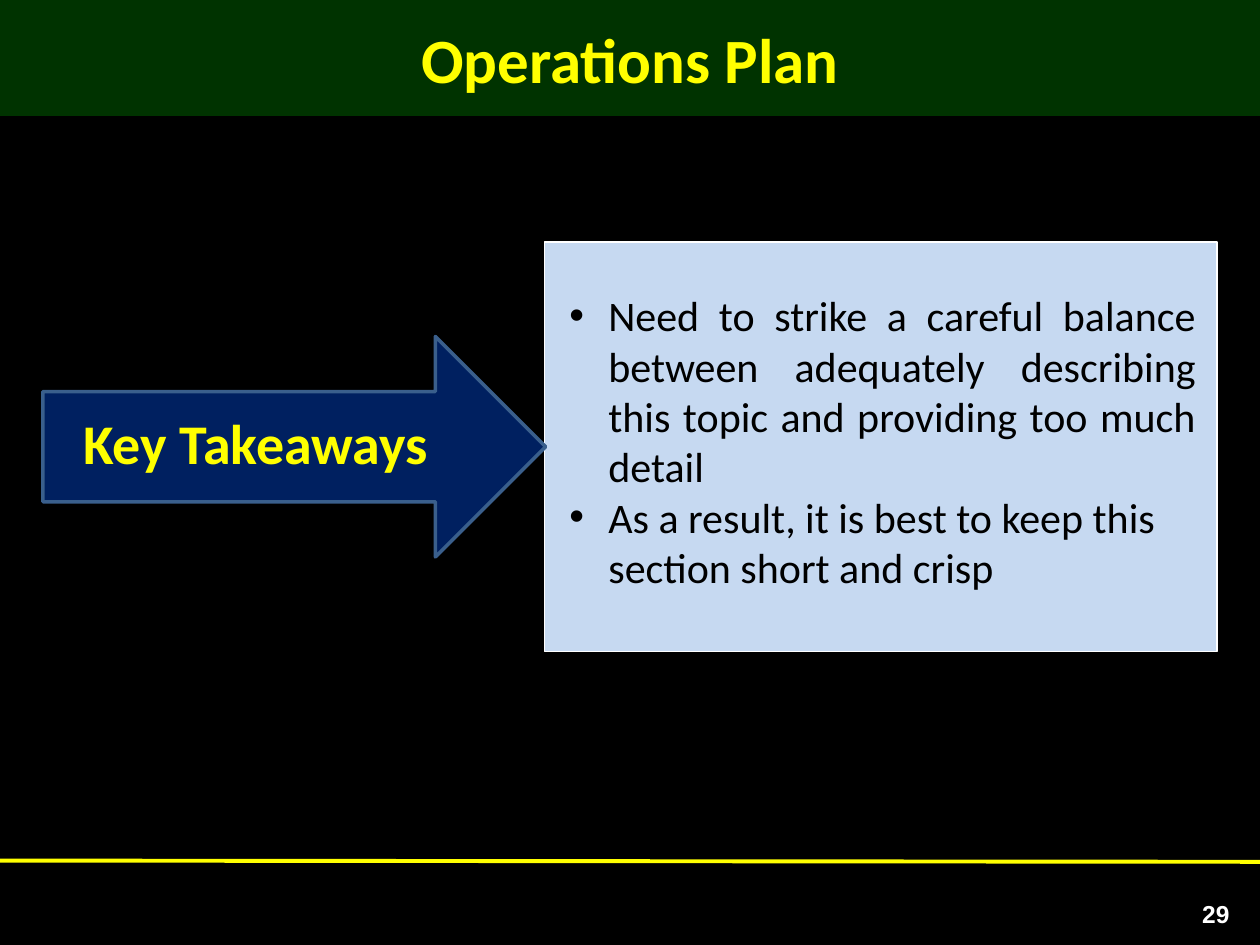
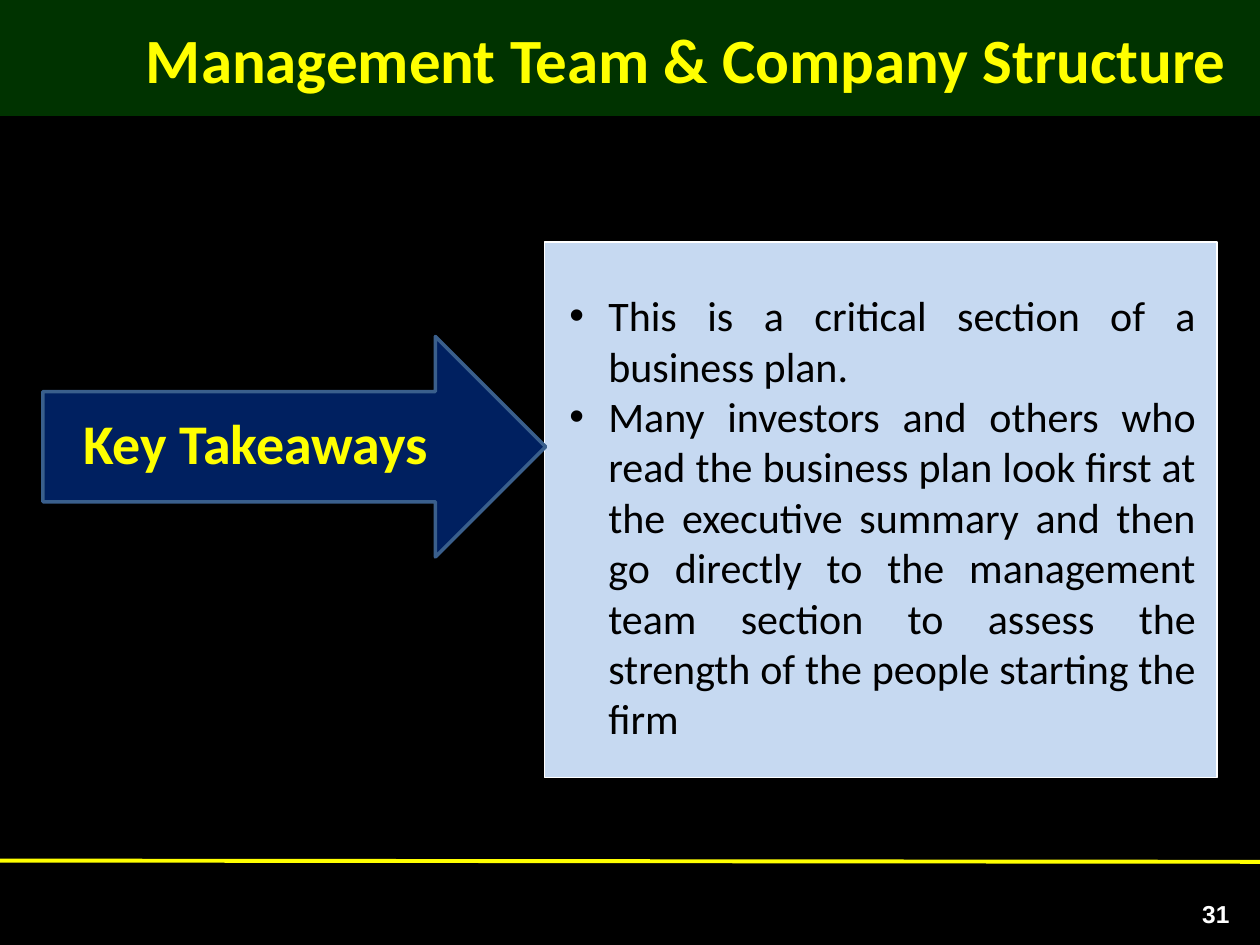
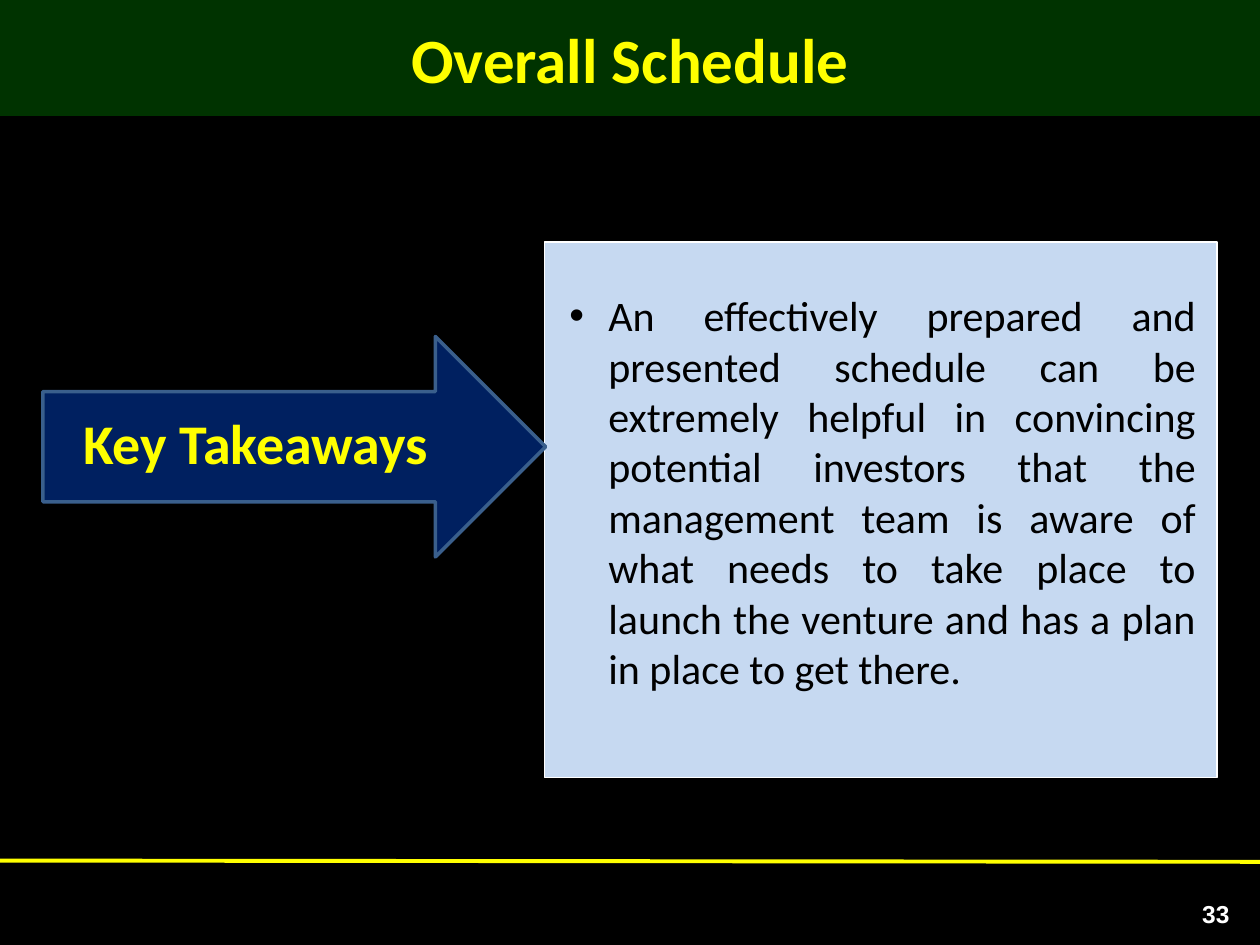
"""Build three key-takeaway slides of a business plan course."""
from dataclasses import dataclass

from lxml import etree
from pptx import Presentation
from pptx.dml.color import RGBColor
from pptx.enum.shapes import MSO_CONNECTOR, MSO_SHAPE
from pptx.enum.text import MSO_ANCHOR, PP_ALIGN
from pptx.oxml.ns import qn
from pptx.util import Inches, Pt

RECT, ARROW = MSO_SHAPE.RECTANGLE, MSO_SHAPE.RIGHT_ARROW
STRAIGHT = MSO_CONNECTOR.STRAIGHT
LEFT, CENTER, JUSTIFY = PP_ALIGN.LEFT, PP_ALIGN.CENTER, PP_ALIGN.JUSTIFY
TOP, MIDDLE = MSO_ANCHOR.TOP, MSO_ANCHOR.MIDDLE

BLACK = RGBColor(0x00, 0x00, 0x00)
WHITE = RGBColor(0xFF, 0xFF, 0xFF)
YELLOW = RGBColor(0xFF, 0xFF, 0x00)
GREEN = RGBColor(0x00, 0x33, 0x00)
NAVY = RGBColor(0x00, 0x20, 0x60)
STEEL = RGBColor(0x3A, 0x5F, 0x8C)
PALE_BLUE = RGBColor(0xC6, 0xD9, 0xF1)

SLIDE_W, SLIDE_H = Inches(10), Inches(7.5)
BULLET_INDENT = Inches(0.31)


@dataclass(frozen=True)
class Bullet:
    text: str
    align: PP_ALIGN = JUSTIFY


@dataclass(frozen=True)
class Takeaway:
    title: str
    number: int
    panel_height: float
    bullets: tuple[Bullet, ...]
    title_inset: float = 0.1


TAKEAWAYS = (
    Takeaway("Operations Plan", 29, 3.25, (
        Bullet("Need to strike a careful balance between adequately describing "
               "this topic and providing too much detail"),
        Bullet("As a result, it is best to keep this section short and crisp", LEFT),
    )),
    Takeaway("Management Team & Company Structure", 31, 4.25, (
        Bullet("This is a critical section of a business plan."),
        Bullet("Many investors and others who read the business plan look first at "
               "the executive summary and then go directly to the management team "
               "section to assess the strength of the people starting the firm"),
    ), title_inset=0.99),
    Takeaway("Overall Schedule", 33, 4.25, (
        Bullet("An effectively prepared and presented schedule can be extremely "
               "helpful in convincing potential investors that the management team "
               "is aware of what needs to take place to launch the venture and has "
               "a plan in place to get there."),
    )),
)


def add_block(s, kind, left, top, width, height, fill, line=None, line_width=0.75):
    """Add a filled preset shape, outlined when a line colour is given."""
    sp = s.shapes.add_shape(kind, Inches(left), Inches(top), Inches(width), Inches(height))
    sp.shadow.inherit = False
    sp.fill.solid()
    sp.fill.fore_color.rgb = fill
    if line is None:
        sp.line.fill.background()
    else:
        sp.line.color.rgb = line
        sp.line.width = Pt(line_width)
    return sp


def add_textbox(s, left, top, width, height):
    """Add an empty text box and return its text frame."""
    box = s.shapes.add_textbox(Inches(left), Inches(top), Inches(width), Inches(height))
    return box.text_frame


def write(p, text: str, *, size: float, color: RGBColor, bold: bool = False,
          font: str = "Calibri", align: PP_ALIGN = CENTER) -> None:
    """Write formatted text into a paragraph."""
    p.alignment = align
    r = p.add_run()
    r.text = text
    r.font.name = font
    r.font.size = Pt(size)
    r.font.bold = bold
    r.font.color.rgb = color


def frame(tf, anchor: MSO_ANCHOR = TOP):
    """Set wrapping and anchor of a text frame and return its first paragraph."""
    tf.word_wrap = True
    tf.vertical_anchor = anchor
    return tf.paragraphs[0]


def set_bullet(p) -> None:
    """Give a paragraph a hanging round bullet."""
    pPr = p._p.get_or_add_pPr()
    pPr.set("marL", str(BULLET_INDENT))
    pPr.set("indent", str(-BULLET_INDENT))
    etree.SubElement(pPr, qn("a:buFont")).set("typeface", "Arial")
    etree.SubElement(pPr, qn("a:buChar")).set("char", "•")


def add_base(s, takeaway: Takeaway) -> None:
    """Draw the background, footer rule, title band and slide number."""
    s.background.fill.solid()
    s.background.fill.fore_color.rgb = BLACK

    rule = s.shapes.add_connector(STRAIGHT, 0, Inches(6.83), SLIDE_W, Inches(6.84))
    rule.line.color.rgb = YELLOW
    rule.line.width = Pt(2.25)
    etree.SubElement(rule._element.spPr, qn("a:effectLst"))

    band = add_block(s, RECT, 0, 0, 10, 0.92, GREEN)
    band.text_frame.margin_left = Inches(takeaway.title_inset)
    write(frame(band.text_frame, MIDDLE), takeaway.title,
          size=36, color=YELLOW, bold=True)

    number = add_textbox(s, 9.33, 7, 0.64, 0.5)
    write(frame(number, MIDDLE), str(takeaway.number),
          size=14, color=WHITE, bold=True, font="Arial")


def add_takeaway(s, takeaway: Takeaway) -> None:
    """Draw the arrow and the panel with its bullets."""
    add_block(s, RECT, 4.32, 1.92, 5.34, takeaway.panel_height, PALE_BLUE, WHITE)
    add_block(s, ARROW, 0.34, 2.67, 3.99, 1.75, NAVY, STEEL, 2)
    label = add_textbox(s, 0.08, 3.19, 3.9, 0.64)
    write(frame(label), "Key Takeaways", size=32, color=YELLOW, bold=True)

    tf = add_textbox(s, 4.42, 2.25, 5.17, takeaway.panel_height - 0.6)
    p = frame(tf)
    for i, bullet in enumerate(takeaway.bullets):
        if i:
            p = tf.add_paragraph()
        set_bullet(p)
        write(p, bullet.text, size=24, color=BLACK, align=bullet.align)


def main() -> None:
    """Build and save the presentation."""
    prs = Presentation()
    prs.slide_width, prs.slide_height = SLIDE_W, SLIDE_H
    for takeaway in TAKEAWAYS:
        s = prs.slides.add_slide(prs.slide_layouts[6])
        add_base(s, takeaway)
        add_takeaway(s, takeaway)
    prs.save("out.pptx")


if __name__ == "__main__":
    main()
